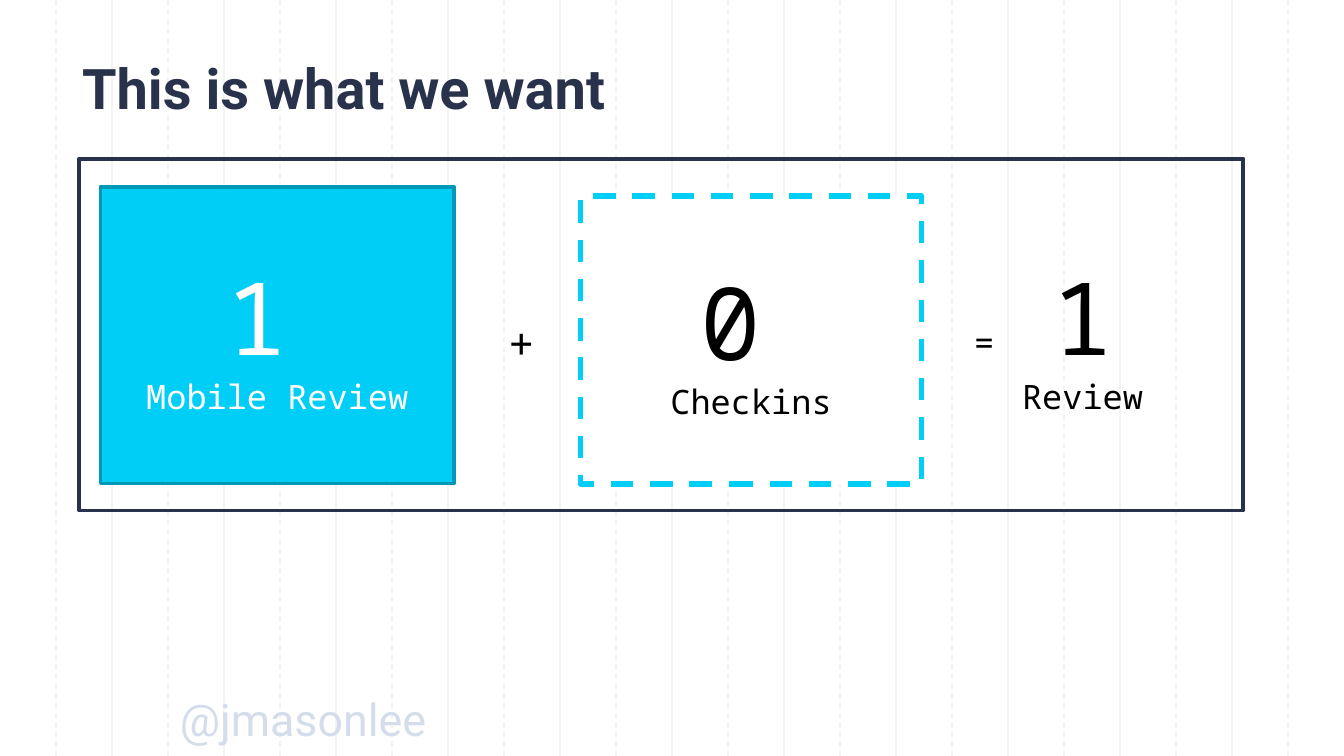
from pptx import Presentation
from pptx.dml.color import RGBColor
from pptx.enum.dml import MSO_LINE_DASH_STYLE as DASH
from pptx.enum.shapes import MSO_CONNECTOR as CONNECTOR, MSO_SHAPE as SHAPE
from pptx.enum.text import MSO_ANCHOR as ANCHOR, PP_ALIGN as ALIGN
from pptx.oxml.xmlchemy import OxmlElement
from pptx.util import Cm, Pt

NAVY = RGBColor(0x28, 0x32, 0x4A)
CYAN = RGBColor(0x00, 0xCE, 0xF6)
TEAL = RGBColor(0x00, 0x98, 0xB6)
GRID = RGBColor(0xF3, 0xF3, 0xF3)
PALE = RGBColor(0xD5, 0xDD, 0xEC)
WHITE = RGBColor(0xFF, 0xFF, 0xFF)
BLACK = RGBColor(0x00, 0x00, 0x00)

MONO = "Noto Sans Mono"
SANS = "Roboto"
WIDTH, HEIGHT = 25.4, 14.29
GRID_COLUMNS = 24


def add_run(p, text, color, **formats):
    r = p.add_run()
    r.text = text
    r.font.color.rgb = color
    for name, value in formats.items():
        setattr(r.font, name, value)


def add_grid(slide):
    """Vertical guides at equal gaps, every other one dashed."""
    for i in range(1, GRID_COLUMNS):
        x = Cm(WIDTH * i / GRID_COLUMNS)
        line = slide.shapes.add_connector(CONNECTOR.STRAIGHT, x, 0, x, Cm(HEIGHT))
        line.line.color.rgb = GRID
        line.line.width = Pt(0.75)
        if i % 2:
            line.line.dash_style = DASH.DASH
        line._element.spPr.append(OxmlElement("a:effectLst"))


def add_title(slide, text):
    title = slide.shapes.title
    box = {"left": 1.55, "top": 1.12, "width": 22.23, "height": 1.22}
    for name, value in box.items():
        setattr(title, name, Cm(value))
    tf = title.text_frame
    for side in ("left", "top", "right", "bottom"):
        setattr(tf, f"margin_{side}", 0)
    tf.vertical_anchor = ANCHOR.MIDDLE
    p = tf.paragraphs[0]
    p.alignment = ALIGN.LEFT
    p.line_spacing = 0.9
    add_run(p, text, NAVY, name=SANS, size=Pt(30), bold=True)
    slide.shapes._spTree.append(title._element)  # in front of the grid


def add_box(slide, box, line_color, line_width, fill=None, dash=None):
    sp = slide.shapes.add_shape(SHAPE.RECTANGLE, *map(Cm, box))
    sp.shadow.inherit = False
    if fill is None:
        sp.fill.background()
    else:
        sp.fill.solid()
        sp.fill.fore_color.rgb = fill
    sp.line.color.rgb = line_color
    sp.line.width = Pt(line_width)
    sp.line.dash_style = dash
    return sp


def add_count(tf, number, label, color, trailing_space=True):
    """A large number with its label on the line below."""
    p = tf.paragraphs[0]
    p.alignment = ALIGN.CENTER
    add_run(p, number, color, name=MONO, size=Pt(54))
    if trailing_space:
        add_run(p, " ", color, name=MONO, size=Pt(36))
    p = tf.add_paragraph()
    p.alignment = ALIGN.CENTER
    add_run(p, label, color, name=MONO, size=Pt(18))


def add_text_box(slide, box):
    tf = slide.shapes.add_textbox(*map(Cm, box)).text_frame
    tf.word_wrap = False
    return tf


def add_label(slide, box, text, size, color=BLACK, font=MONO):
    p = add_text_box(slide, box).paragraphs[0]
    add_run(p, text, color, name=font, size=Pt(size))


def main():
    prs = Presentation()
    prs.slide_width, prs.slide_height = Cm(WIDTH), Cm(HEIGHT)
    slide = prs.slides.add_slide(prs.slide_layouts[5])

    add_grid(slide)
    add_title(slide, "This is what we want")

    review = add_box(slide, (1.9, 3.53, 6.68, 5.61), TEAL, 2, fill=CYAN)
    add_count(review.text_frame, "1", "Mobile Review", WHITE)
    add_label(slide, (9.35, 5.84, 1.02, 1.27), "+", 24)
    add_label(slide, (18.16, 5.97, 0.89, 1.02), "=", 18)
    total = add_text_box(slide, (19.05, 4.7, 2.82, 3.33))
    add_count(total, "1", "Review", BLACK, trailing_space=False)
    add_box(slide, (1.5, 3, 22, 6.65), NAVY, 2)
    checkins = add_box(slide, (10.97, 3.71, 6.45, 5.44), CYAN, 3,
                       fill=WHITE, dash=DASH.DASH)
    add_count(checkins.text_frame, "0", "Checkins", BLACK)

    add_label(slide, (3.15, 12.95, 5.3, 1.27), "@jmasonlee", 24, PALE, SANS)

    prs.save("out.pptx")


if __name__ == "__main__":
    main()
